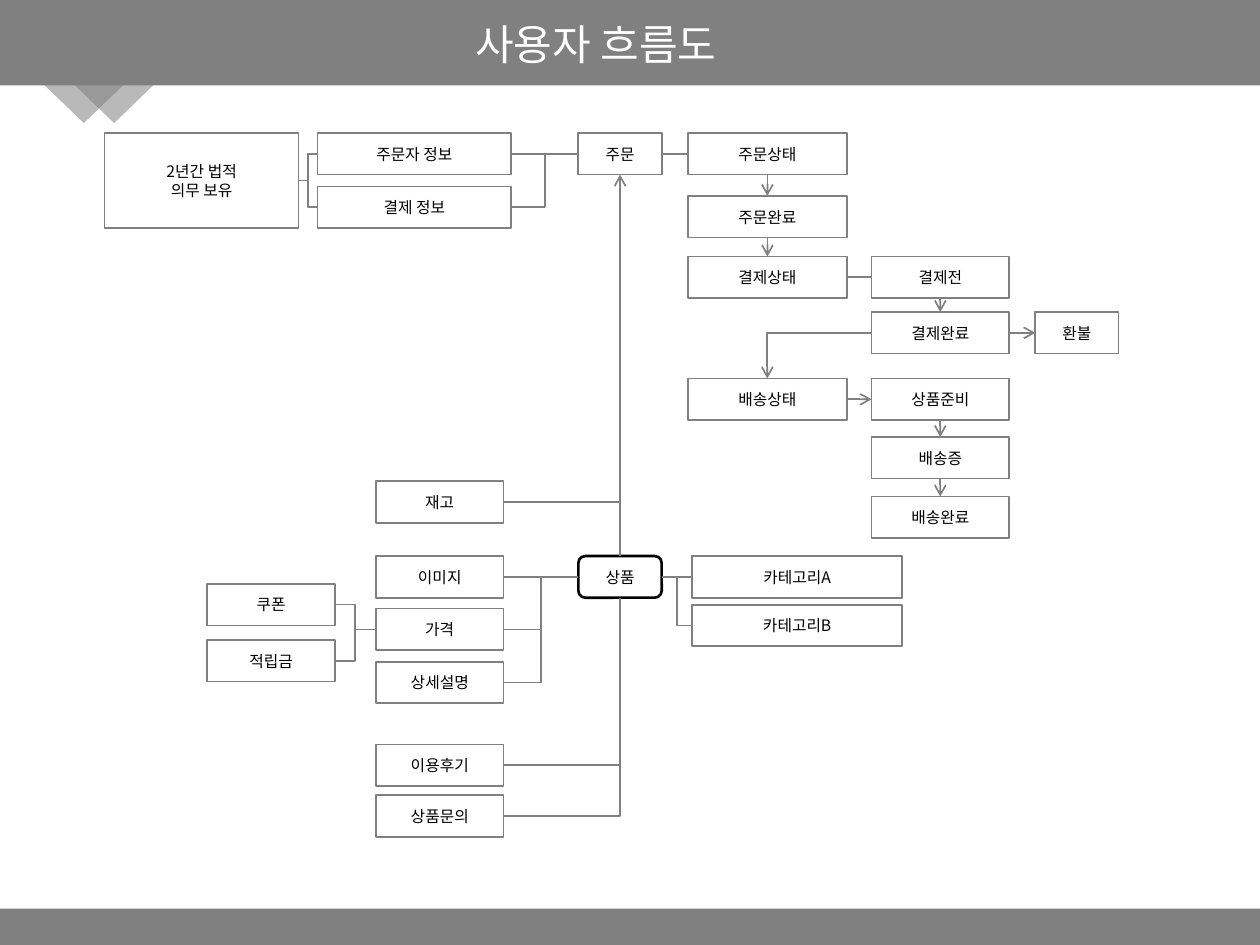
"""Build the user flow chart slide."""
from lxml.etree import SubElement
from pptx import Presentation
from pptx.dml.color import RGBColor
from pptx.enum.shapes import MSO_CONNECTOR as CXN, MSO_SHAPE as SHAPE
from pptx.enum.text import MSO_ANCHOR as ANCHOR, PP_ALIGN as ALIGN
from pptx.oxml.ns import qn
from pptx.util import Cm, Pt

FONT = "Noto Sans CJK KR"
GRAY, WHITE, BLACK = "808080", "FFFFFF", "000000"
BOX_H = 0.84
TITLE = "사용자 흐름도"
PRODUCT = "상품"

# left, width, then (text, top) for each box
COLUMNS = [
    (2.11, 3.91, [("2년간 법적\n의무 보유", 2.68)]),
    (6.4, 3.91, [("주문자 정보", 2.68), ("결제 정보", 3.76)]),
    (4.18, 2.57, [("쿠폰", 11.77), ("적립금", 12.9)]),
    (7.58, 2.57, [("재고", 9.7), ("이미지", 11.21), ("가격", 12.27),
                  ("상세설명", 13.34), ("이용후기", 15.01), ("상품문의", 16.03)]),
    (11.66, 1.68, [("주문", 2.68), (PRODUCT, 11.21)]),
    (13.95, 4.24, [("카테고리A", 11.21), ("카테고리B", 12.19)]),
    (13.87, 3.2, [("주문상태", 2.68), ("주문완료", 3.95),
                  ("결제상태", 5.17), ("배송상태", 7.63)]),
    (17.57, 2.77, [("결제전", 5.17), ("결제완료", 6.29), ("상품준비", 7.63),
                   ("배송증", 8.81), ("배송완료", 10.01)]),
    (20.87, 1.68, [("환불", 6.29)]),
]
HEIGHTS = {"2년간 법적\n의무 보유": 1.92}

TOP, LEFT, BOTTOM, RIGHT = range(4)
STRAIGHT, ELBOW, CORNER = "line", "bentConnector3", "bentConnector2"
# kind, begin side, end side, arrow, pairs of boxes
LINKS = [
    (STRAIGHT, LEFT, RIGHT, False, [("주문", "주문자 정보"), (PRODUCT, "이미지")]),
    (STRAIGHT, RIGHT, LEFT, False, [("주문", "주문상태"), ("결제상태", "결제전"),
                                    (PRODUCT, "카테고리A")]),
    (STRAIGHT, RIGHT, LEFT, True, [("결제완료", "환불"), ("배송상태", "상품준비")]),
    (STRAIGHT, BOTTOM, TOP, True, [("주문상태", "주문완료"), ("주문완료", "결제상태"),
                                   ("결제전", "결제완료"), ("상품준비", "배송증"),
                                   ("배송증", "배송완료")]),
    (STRAIGHT, TOP, BOTTOM, True, [(PRODUCT, "주문")]),
    (ELBOW, RIGHT, LEFT, False, [(PRODUCT, "카테고리B")]),
    (ELBOW, LEFT, RIGHT, False, [(PRODUCT, "가격"), (PRODUCT, "상세설명"),
                                 ("주문", "결제 정보"), ("가격", "쿠폰"), ("가격", "적립금"),
                                 ("주문자 정보", "2년간 법적\n의무 보유"),
                                 ("결제 정보", "2년간 법적\n의무 보유")]),
    (CORNER, RIGHT, TOP, False, [("재고", PRODUCT)]),
    (CORNER, RIGHT, BOTTOM, False, [("이용후기", PRODUCT), ("상품문의", PRODUCT)]),
    (CORNER, LEFT, TOP, True, [("결제완료", "배송상태")]),
]


def rgb(color):
    return RGBColor.from_string(color)


def write(tf, text, size=9, color=BLACK):
    tf.word_wrap = True
    tf.vertical_anchor = ANCHOR.MIDDLE
    for i, line in enumerate(text.split("\n")):
        p = tf.add_paragraph() if i else tf.paragraphs[0]
        p.alignment = ALIGN.CENTER
        r = p.add_run()
        r.text = line
        r.font.size = Pt(size)
        r.font.color.rgb = rgb(color)
        r.font.name = FONT
        SubElement(r.font._element, qn("a:ea"), typeface=FONT)


def add_shape(s, kind, box, fill=WHITE, line=None, width=1):
    sp = s.shapes.add_shape(kind, *map(Cm, box))
    sp.shadow.inherit = False
    sp.fill.solid()
    sp.fill.fore_color.rgb = rgb(fill)
    if line:
        sp.line.color.rgb = rgb(line)
        sp.line.width = Pt(width)
    else:
        sp.line.fill.background()
    return sp


def add_link(s, kind, begin, begin_side, end, end_side, arrow):
    c = s.shapes.add_connector(CXN.STRAIGHT if kind == STRAIGHT else CXN.ELBOW, 0, 0, 0, 0)
    c.begin_connect(begin, begin_side)
    c.end_connect(end, end_side)
    c.line.color.rgb = rgb(GRAY)
    c.line.width = Pt(1)
    props = c.element.spPr
    props.find(qn("a:prstGeom")).set("prst", kind)
    if arrow:
        SubElement(props.find(qn("a:ln")), qn("a:tailEnd"), type="arrow")
    SubElement(props, qn("a:effectLst"))


def add_frame(s):
    s.background.fill.solid()
    s.background.fill.fore_color.rgb = rgb(GRAY)
    add_shape(s, SHAPE.RECTANGLE, (0, 1.72, 25.4, 16.6))
    title = s.shapes.add_textbox(Cm(8.76), Cm(0.25), Cm(6.5), Cm(1.27))
    write(title.text_frame, TITLE, size=24, color=WHITE)
    for left in (0.89, 1.5):
        sp = add_shape(s, SHAPE.ISOSCELES_TRIANGLE, (left, 1.71, 1.6, 0.77), GRAY)
        sp.rotation = 180
        color = sp.element.spPr.find(qn("a:solidFill"))[0]
        SubElement(color, qn("a:alpha"), val="55000")


def add_boxes(s):
    boxes = {}
    for left, width, items in COLUMNS:
        for text, top in items:
            box = (left, top, width, HEIGHTS.get(text, BOX_H))
            if text == PRODUCT:
                sp = add_shape(s, SHAPE.ROUNDED_RECTANGLE, box, line=BLACK, width=1.5)
            else:
                sp = add_shape(s, SHAPE.RECTANGLE, box, line=GRAY)
            write(sp.text_frame, text)
            boxes[text] = sp
    return boxes


def main():
    prs = Presentation()
    prs.slide_width, prs.slide_height = Cm(25.4), Cm(19.05)
    s = prs.slides.add_slide(prs.slide_layouts[6])
    add_frame(s)
    boxes = add_boxes(s)
    for kind, begin_side, end_side, arrow, pairs in LINKS:
        for begin, end in pairs:
            add_link(s, kind, boxes[begin], begin_side, boxes[end], end_side, arrow)
    prs.save("out.pptx")


if __name__ == "__main__":
    main()
